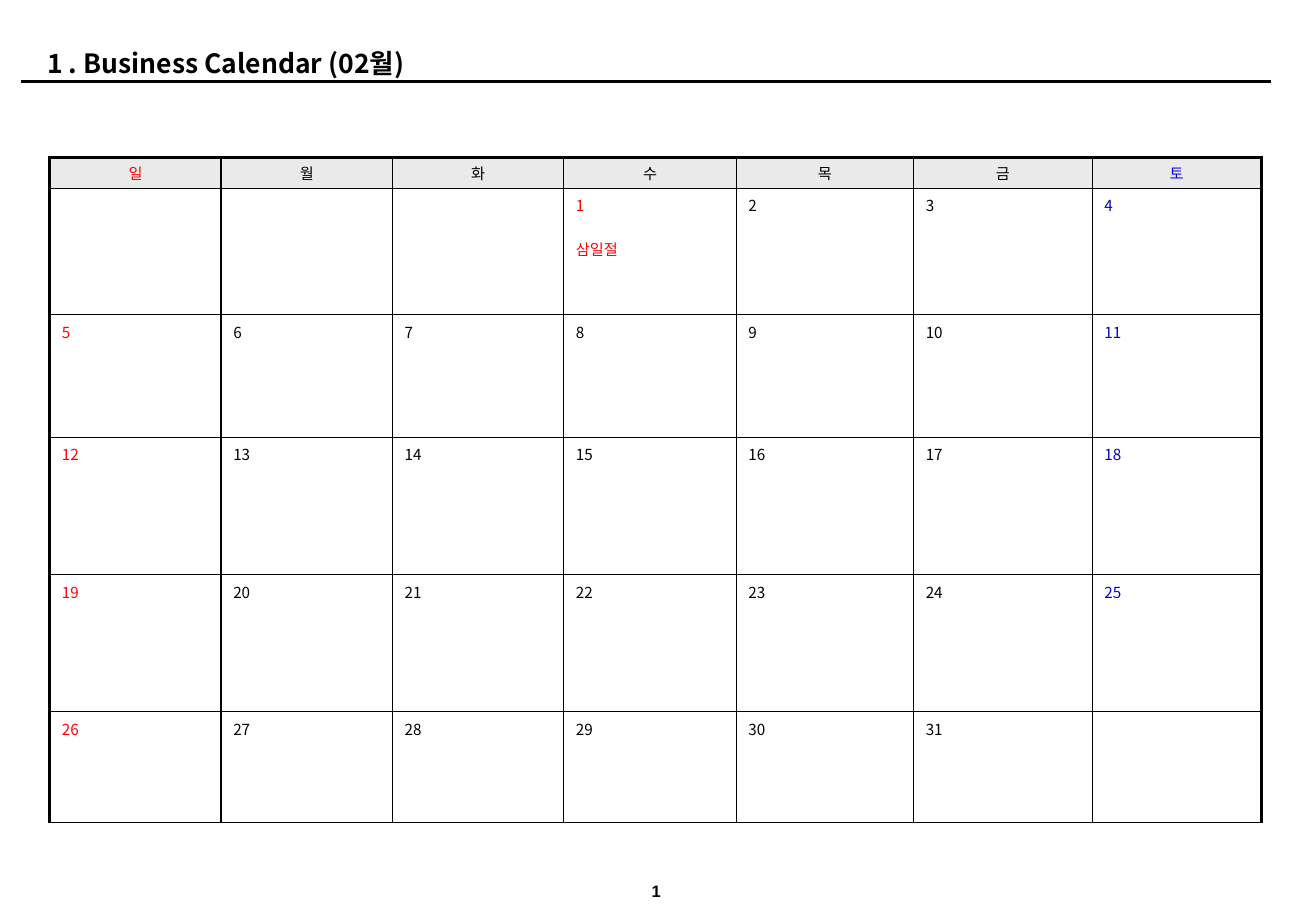
from dataclasses import dataclass

from lxml.etree import SubElement
from pptx import Presentation
from pptx.dml.color import RGBColor
from pptx.enum.shapes import MSO_CONNECTOR
from pptx.enum.text import MSO_ANCHOR, PP_ALIGN
from pptx.oxml.ns import qn
from pptx.util import Inches, Pt

INK = {
    "black": "000000",
    "red": "FF0000",
    "blue": "0000FF",
    "navy": "0000CC",
    "gray": "EAEAEA",
    "white": "FFFFFF",
}
SANS = "Noto Sans CJK KR"
DAYS = "일월화수목금토"
WIDTHS = [1.41, 1.41, 1.41, 1.42, 1.46, 1.47, 1.39]
HEIGHTS = [0.25, 1.04, 1.01, 1.13, 1.13, 0.91]
START = 3
LAST = 31
FEASTS = {1: "삼일절"}


@dataclass
class Label:
    text: str
    box: tuple[float, float, float, float]
    face: str
    size: float
    align: PP_ALIGN
    wrap: bool


LABELS = [
    Label("1 . Business Calendar (02월)", (0.29, 0.34, 9.58, 0.36), SANS, 15.7, PP_ALIGN.LEFT, True),
    Label("1", (5.13, 7.18, 0.54, 0.31), "Arial", 9.8, PP_ALIGN.CENTER, False),
]


def color(name: str) -> RGBColor:
    return RGBColor.from_string(INK[name])


def assign(item, style: dict) -> None:
    for key, value in style.items():
        setattr(item, key, value)


def write(line, text: str, face: str, size: float, ink: str, bold: bool = False) -> None:
    run = line.add_run()
    run.text = text
    assign(run.font, {"name": face, "size": Pt(size), "bold": bold})
    run.font.color.rgb = color(ink)
    SubElement(run.font._element, qn("a:ea"), typeface=face)


def add_label(slide, label: Label) -> None:
    frame = slide.shapes.add_textbox(*map(Inches, label.box)).text_frame
    assign(frame, {"word_wrap": label.wrap, "vertical_anchor": MSO_ANCHOR.MIDDLE})
    line = frame.paragraphs[0]
    line.alignment = label.align
    write(line, label.text, label.face, label.size, "black", True)


def add_rule(slide) -> None:
    rule = slide.shapes.add_connector(
        MSO_CONNECTOR.STRAIGHT, Inches(0.17), Inches(0.67), Inches(10.46), Inches(0.67)
    )
    rule.line.width = Pt(1.5)
    rule.line.color.rgb = color("black")
    SubElement(rule._element.spPr, qn("a:effectLst"))


def add_edges(cell, row: int, col: int) -> None:
    props = cell._tc.get_or_add_tcPr()
    edges = {"lnL": col == 0, "lnR": col == 6, "lnT": row == 0, "lnB": False}
    for spot, (tag, thick) in enumerate(edges.items()):
        edge = SubElement(props, qn(f"a:{tag}"), w=str(Pt(2 if thick else 1)))
        fill = SubElement(edge, qn("a:solidFill"))
        SubElement(fill, qn("a:srgbClr"), val=INK["black"])
        props.insert(spot, edge)


def fill_head(cell, col: int) -> None:
    assign(cell, {
        "vertical_anchor": MSO_ANCHOR.MIDDLE,
        "margin_top": Inches(0.03),
        "margin_bottom": Inches(0.03),
    })
    line = cell.text_frame.paragraphs[0]
    line.alignment = PP_ALIGN.CENTER
    write(line, DAYS[col], SANS, 9, {0: "red", 6: "blue"}.get(col, "black"))


def fill_date(cell, date: int, col: int) -> None:
    ink = "red" if date in FEASTS else {0: "red", 6: "navy"}.get(col, "black")
    write(cell.text_frame.paragraphs[0], str(date), SANS, 9, ink)
    if date in FEASTS:
        line = cell.text_frame.add_paragraph()
        line.space_before = Pt(13)
        write(line, FEASTS[date], SANS, 9, ink)


def add_month(slide) -> None:
    size = (0.41, 1.3, sum(WIDTHS), sum(HEIGHTS))
    table = slide.shapes.add_table(len(HEIGHTS), len(WIDTHS), *map(Inches, size)).table
    assign(table, {"first_row": False, "horz_banding": False})
    for col, width in enumerate(WIDTHS):
        table.columns[col].width = Inches(width)
    for row, height in enumerate(HEIGHTS):
        table.rows[row].height = Inches(height)
        for col in range(len(WIDTHS)):
            cell = table.cell(row, col)
            cell.fill.solid()
            cell.fill.fore_color.rgb = color("white" if row else "gray")
            add_edges(cell, row, col)
            date = (row - 1) * 7 + col - START + 1
            if row == 0:
                fill_head(cell, col)
            elif 1 <= date <= LAST:
                fill_date(cell, date, col)


def main() -> None:
    deck = Presentation()
    assign(deck, {"slide_width": Inches(10.83), "slide_height": Inches(7.5)})
    slide = deck.slides.add_slide(deck.slide_layouts[6])
    add_rule(slide)
    for label in LABELS:
        add_label(slide, label)
    add_month(slide)
    deck.save("out.pptx")


if __name__ == "__main__":
    main()
